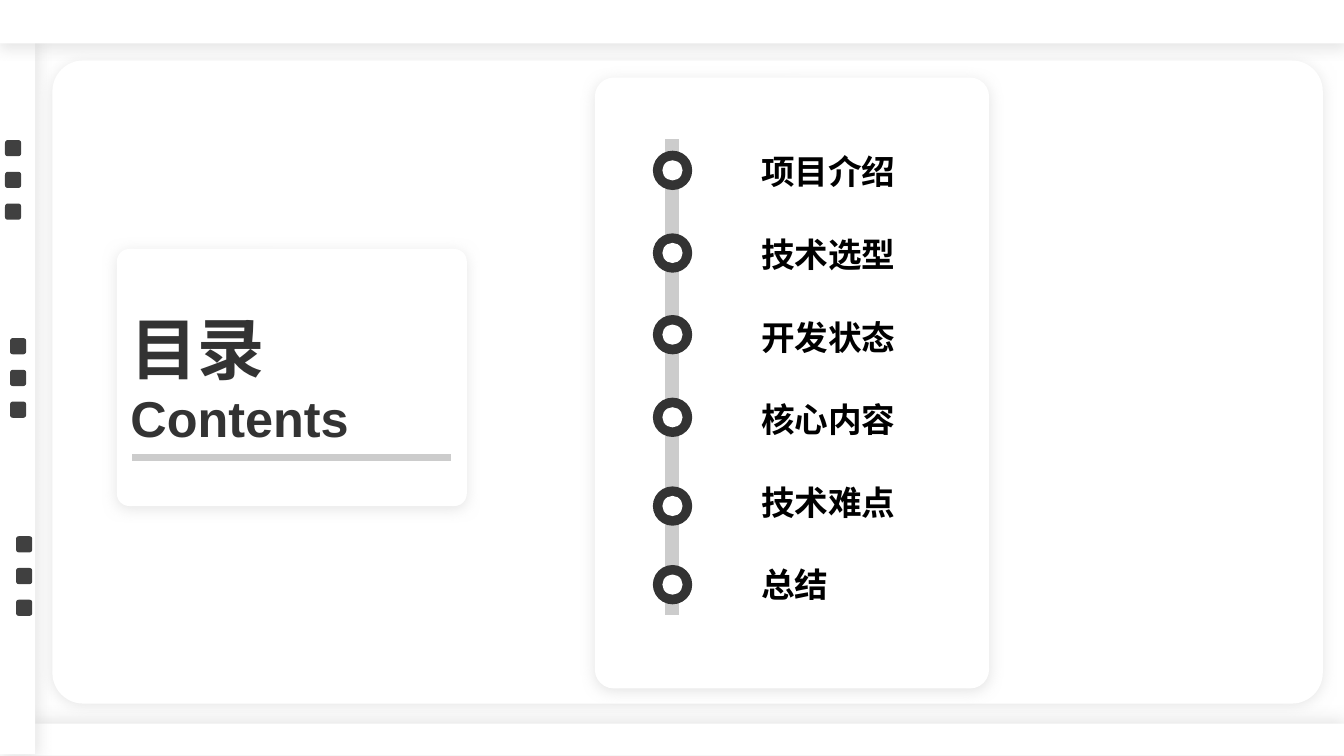
"""Build a contents slide with a title card and a six-step timeline."""
import dataclasses

import lxml.etree
import pptx
import pptx.dml.color
import pptx.enum.shapes
import pptx.enum.text
import pptx.oxml.ns
import pptx.util

Inches = pptx.util.Inches
Pt = pptx.util.Pt
SHAPE = pptx.enum.shapes.MSO_SHAPE
TOPICS = ["项目介绍", "技术选型", "开发状态", "核心内容", "技术难点", "总结"]
RING_TOPS = [0.72, 1.54, 2.35, 3.17, 4.05, 4.83]


@dataclasses.dataclass(frozen=True)
class Theme:
    font: str = "Arial"
    surface: str = "FFFFFF"
    shade: str = "CCCCCC"
    dark: str = "333333"
    dot: str = "404040"
    ink: str = "000000"
    title: int = 48
    subtitle: int = 36
    topic: int = 24
    card_corner: float = 0.048


THEME = Theme()


def colour(value):
    return pptx.dml.color.RGBColor.from_string(value)


def apply(target, values):
    for name, value in values.items():
        setattr(target, name, value)


def add_block(shapes, kind, box, fill, corner=None):
    block = shapes.add_shape(kind, *map(Inches, box))
    block.fill.solid()
    block.fill.fore_color.rgb = colour(fill)
    block.line.fill.background()
    block.shadow.inherit = False
    if corner is not None:
        block.adjustments[0] = corner
    return block


def add_panel(page, box, kind=SHAPE.RECTANGLE, corner=None, distance=2, angle=90):
    panel = add_block(page.shapes, kind, box, THEME.surface, corner)
    effects = panel._element.spPr.find(pptx.oxml.ns.qn("a:effectLst"))
    shadow = lxml.etree.SubElement(
        effects, pptx.oxml.ns.qn("a:outerShdw"), blurRad=str(Pt(10)),
        dist=str(Pt(distance)), dir=str(angle * 60000), rotWithShape="0")
    tint = lxml.etree.SubElement(shadow, pptx.oxml.ns.qn("a:srgbClr"), val=THEME.shade)
    lxml.etree.SubElement(tint, pptx.oxml.ns.qn("a:alpha"), val="50000")
    return panel


def add_card(page, box):
    return add_panel(page, box, SHAPE.ROUNDED_RECTANGLE, THEME.card_corner)


def add_rule(page, start, end, width):
    rule = page.shapes.add_connector(
        pptx.enum.shapes.MSO_CONNECTOR.STRAIGHT, *map(Inches, start + end))
    rule.line.color.rgb = colour(THEME.shade)
    rule.line.width = Pt(width)
    lxml.etree.SubElement(rule._element.spPr, pptx.oxml.ns.qn("a:effectLst"))


def add_span(para, text, size, ink):
    span = para.add_run()
    span.text = text
    apply(span.font, {"name": THEME.font, "size": Pt(size), "bold": True})
    span.font.color.rgb = colour(ink)


def build_title(page, box):
    left, top, width, height = box
    frame = add_card(page, box).text_frame
    apply(frame, {"word_wrap": True,
                  "vertical_anchor": pptx.enum.text.MSO_ANCHOR.MIDDLE})
    para = frame.paragraphs[0]
    para.alignment = pptx.enum.text.PP_ALIGN.LEFT
    add_span(para, "目录", THEME.title, THEME.dark)
    para.add_line_break()
    add_span(para, "Contents", THEME.subtitle, THEME.dark)
    level = top + 2.07
    add_rule(page, (left + 0.15, level), (left + width - 0.16, level), 5)


def build_frame(page, box):
    left, top, width, height = box
    add_panel(page, (left, top + height - 0.32, width, 0.31), distance=3, angle=270)
    add_panel(page, (left, top, 0.35, height - 0.02), angle=45)
    add_panel(page, (left, top, width, 0.43))


def build_dots(page, box):
    left, top, size, pitch = box
    cluster = page.shapes.add_group_shape().shapes
    for row in range(3):
        add_block(cluster, SHAPE.ROUNDED_RECTANGLE,
                  (left, top + row * pitch, size, size), THEME.dot)


def build_topics(page, box):
    left, top, width, height = box
    axis = left + 0.77
    add_rule(page, (axis, top + 0.61), (axis, top + 5.33), 10)
    for row, topic in enumerate(TOPICS):
        label = page.shapes.add_textbox(
            *map(Inches, (left + 1.55, top + 0.68 + row * 0.82, 1.57, 0.5)))
        label.text_frame.word_wrap = True
        add_span(label.text_frame.paragraphs[0], topic, THEME.topic, THEME.ink)
    for ring_top in RING_TOPS:
        ring = page.shapes.add_group_shape().shapes
        centre = top + ring_top + 0.2
        for size, fill in ((0.39, THEME.dark), (0.2, THEME.surface)):
            add_block(ring, SHAPE.OVAL,
                      (axis - size / 2, centre - size / 2, size, size), fill)


def main():
    deck = pptx.Presentation()
    apply(deck, {"slide_width": Inches(13.33), "slide_height": Inches(7.5)})
    page = deck.slides.add_slide(deck.slide_layouts[6])
    topics_box = (5.9, 0.77, 3.91, 6.06)
    add_card(page, (0.52, 0.6, 12.6, 6.38))
    add_card(page, topics_box)
    build_title(page, (1.16, 2.47, 3.47, 2.55))
    build_frame(page, (0, 0, 13.33, 7.5))
    for index, left in enumerate((0.05, 0.1, 0.16)):
        build_dots(page, (left, 1.39 + index * 1.965, 0.16, 0.315))
    build_topics(page, topics_box)
    deck.save("out.pptx")


if __name__ == "__main__":
    main()
